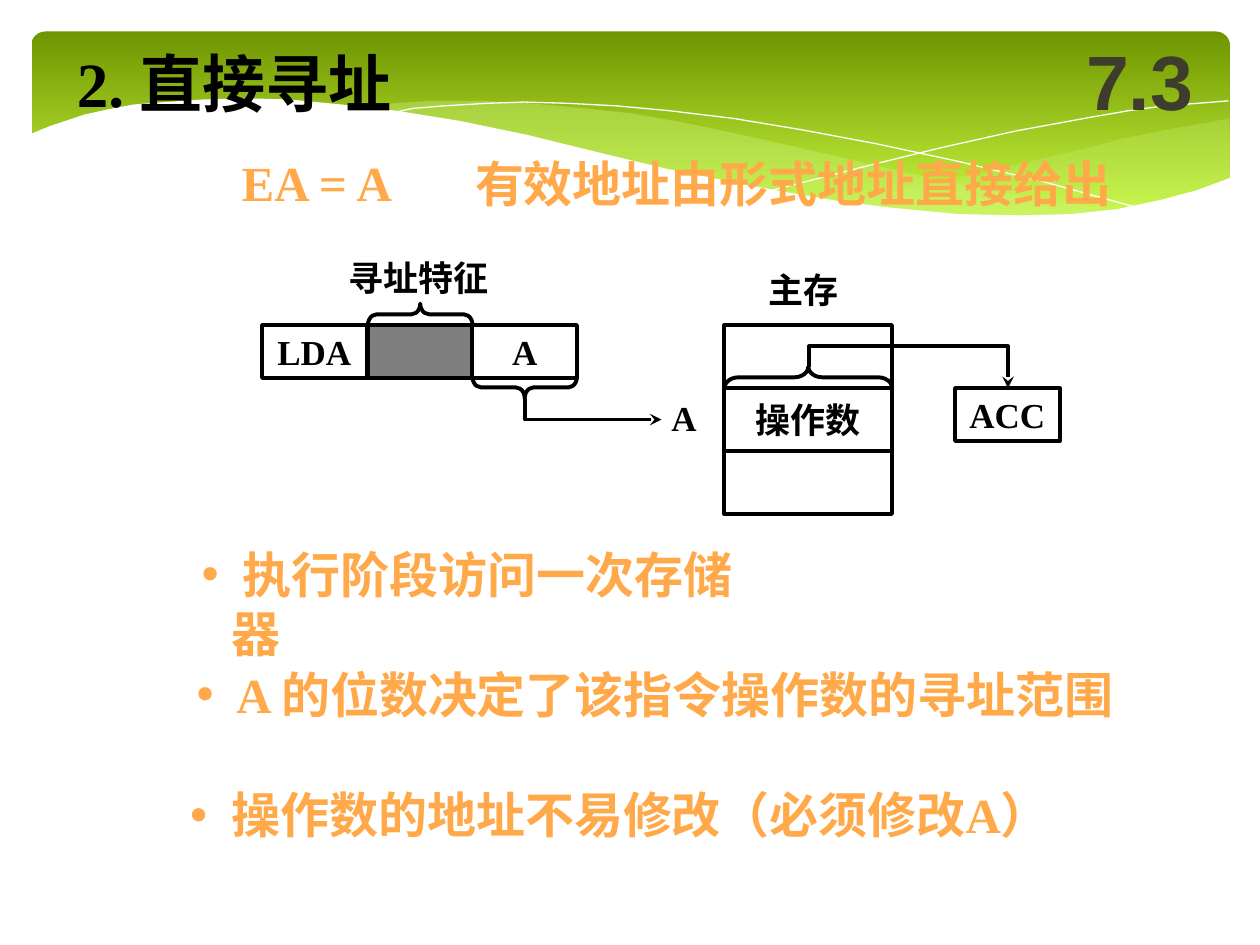
from lxml import etree
from pptx import Presentation
from pptx.dml.color import RGBColor
from pptx.enum.shapes import MSO_SHAPE
from pptx.enum.text import MSO_ANCHOR, MSO_AUTO_SIZE, PP_ALIGN
from pptx.oxml.ns import qn
from pptx.util import Inches, Pt

RECT, ROUND, BRACE = MSO_SHAPE.RECTANGLE, MSO_SHAPE.ROUNDED_RECTANGLE, MSO_SHAPE.LEFT_BRACE
LEFT, CENTER = PP_ALIGN.LEFT, PP_ALIGN.CENTER
TOP, MIDDLE = MSO_ANCHOR.TOP, MSO_ANCHOR.MIDDLE
NO_FIT = MSO_AUTO_SIZE.NONE
BLACK, WHITE, ORANGE, LIME = "000000", "FFFFFF", "FFA94A", "CAF278"


def paint(target, color, alpha=None):
    """Set a solid fill or a font colour from a hex string."""
    if hasattr(target, "solid"):
        target.solid()
        fore = target.fore_color
    else:
        fore = target.color
    fore.rgb = RGBColor.from_string(color)
    if alpha:
        clr = target._xPr.find(qn("a:solidFill"))[0]
        etree.SubElement(clr, qn("a:alpha"), val=str(alpha * 1000))


def text(sp, words, size=20, color=BLACK, font="Times New Roman", align=LEFT,
         anchor=TOP, wrap=False, bullet=False):
    tf = sp.text_frame
    tf.auto_size, tf.word_wrap, tf.vertical_anchor = NO_FIT, wrap, anchor
    p = tf.paragraphs[0]
    p.alignment = align
    p.space_before = Pt(0)
    if bullet:
        pPr = p._p.get_or_add_pPr()
        pPr.set("marL", str(Inches(0.24)))
        pPr.set("indent", str(-Inches(0.24)))
        clr = etree.SubElement(pPr, qn("a:buClr"))
        etree.SubElement(clr, qn("a:srgbClr"), val=color)
        etree.SubElement(pPr, qn("a:buChar"), char="•")
    r = p.add_run()
    r.text = words
    r.font.name, r.font.size, r.font.bold = font, Pt(size), True
    paint(r.font, color)


prs = Presentation()
prs.slide_width, prs.slide_height = Inches(10), Inches(7.5)
s = prs.slides.add_slide(prs.slide_layouts[4])
shapes = s.shapes
placeholders = {ph.placeholder_format.idx: ph for ph in s.placeholders}

# Green header band
band = shapes.add_shape(ROUND, Inches(0.25), Inches(0.25), Inches(9.51), Inches(1.56))
band.adjustments[0] = 0.07
band.shadow.inherit = False
band.line.fill.background()
band.fill.gradient()
band.fill.gradient_angle = 270
for stop, color in zip(band.fill.gradient_stops, ("6F9500", "D0FF44")):
    stop.color.rgb = RGBColor.from_string(color)
    stop.position = 0 if color == "6F9500" else 1

# Waves and hairlines over the band, then the two elbow arrows
right_wave = [(9.76, 0.94), (9.48, 0.99), (9.21, 1.04), (8.91, 1.1), (8.61, 1.18),
              (8.05, 1.31), (7.53, 1.43), (7.06, 1.52), (6.61, 1.6), (6.91, 1.64),
              (7.32, 1.68), (7.69, 1.71), (8.03, 1.72), (8.35, 1.72), (8.63, 1.7),
              (8.89, 1.66), (9.13, 1.62), (9.35, 1.56), (9.63, 1.47), (9.76, 1.41)]
middle_wave = [(8.93, 1.67), (8.66, 1.64), (8.37, 1.6), (7.75, 1.49), (7.06, 1.34),
               (6.29, 1.16), (5.84, 1.06), (5.41, 0.97), (5.01, 0.9), (4.64, 0.86),
               (4.2, 0.82), (3.8, 0.8), (3.44, 0.8), (3.13, 0.82), (2.86, 0.86),
               (3.23, 0.9), (3.62, 0.97), (4.04, 1.06), (4.49, 1.16), (5.3, 1.35),
               (5.84, 1.46), (6.34, 1.56), (6.8, 1.63), (7.22, 1.68), (7.61, 1.71),
               (7.96, 1.73), (8.28, 1.73), (8.57, 1.71)]
long_hairline = [(3.09, 0.9), (3.28, 0.86), (3.53, 0.84), (3.87, 0.82), (4.16, 0.81),
                 (4.5, 0.82), (4.89, 0.84), (5.32, 0.88), (5.82, 0.94), (6.36, 1.03),
                 (6.95, 1.14), (7.6, 1.28), (8.31, 1.45), (9.07, 1.66)]
short_hairline = [(6.13, 1.51), (6.52, 1.41), (6.95, 1.3), (7.48, 1.17), (8.06, 1.04),
                  (8.66, 0.93), (8.95, 0.88), (9.24, 0.84), (9.51, 0.82), (9.75, 0.8)]
white_wave = [(9.77, 1.41), (9.5, 1.51), (9.2, 1.59), (8.87, 1.66), (8.5, 1.7),
              (8.09, 1.71), (7.61, 1.7), (7.08, 1.65), (6.68, 1.6), (6.26, 1.53),
              (5.79, 1.44), (5.29, 1.34), (4.75, 1.21), (4.18, 1.07), (3.65, 0.96),
              (3.15, 0.88), (2.71, 0.83), (2.3, 0.79), (1.93, 0.78), (1.61, 0.79),
              (1.32, 0.81), (1.06, 0.83), (0.85, 0.87), (0.67, 0.91), (0.52, 0.96),
              (0.4, 1), (0.23, 1.07), (0.23, 2.24), (9.77, 2.24)]
address_arrow = [(4.17, 3.16), (4.17, 3.33), (5.25, 3.33)]
operand_arrow = [(6.42, 2.91), (6.42, 2.75), (8, 2.75), (8, 3.08)]
for points, fill, alpha, line, width in (
        (right_wave, LIME, 29, None, 0), (middle_wave, LIME, 40, None, 0),
        (long_hairline, None, None, WHITE, 0), (short_hairline, None, None, WHITE, 0),
        (white_wave, WHITE, None, None, 0),
        (address_arrow, None, None, BLACK, 2.25), (operand_arrow, None, None, BLACK, 2.25)):
    points = [(Inches(x), Inches(y)) for x, y in points]
    builder = shapes.build_freeform(*points[0])
    builder.add_line_segments(points[1:], close=fill is not None)
    sp = builder.convert_to_shape()
    sp.shadow.inherit = False
    if fill:
        paint(sp.fill, fill, alpha)
        sp.line.fill.background()
    else:
        sp.fill.background()
        paint(sp.line.fill, line)
        sp.line.width = Pt(width)
        if width:
            etree.SubElement(sp.line._get_or_add_ln(), qn("a:tailEnd"), type="stealth")

# Title, headline and bullet list in the placeholders, in front of the header
for idx, words, x, y, w, h, fmt in (
        (0, "2. 直接寻址", 0.51, 0.3, 2.82, 0.7, dict(size=36)),
        (1, "有效地址由形式地址直接给出", 3.67, 1.17, 5.75, 0.57,
         dict(size=28, color=ORANGE, wrap=True)),
        (2, " 执行阶段访问一次存储器", 1.5, 4.27, 4.69, 0.57,
         dict(size=28, color=ORANGE, wrap=True, bullet=True)),
        (3, " A 的位数决定了该指令操作数的寻址范围", 1.46, 5.22, 7.5, 0.57,
         dict(size=28, color=ORANGE, wrap=True, bullet=True)),
        (4, " 操作数的地址不易修改（必须修改A）", 1.41, 6.18, 7.1, 0.57,
         dict(size=28, color=ORANGE, wrap=True, bullet=True))):
    sp = placeholders[idx]
    sp.left, sp.top, sp.width, sp.height = Inches(x), Inches(y), Inches(w), Inches(h)
    shapes._spTree.append(sp._element)
    text(sp, words, **fmt)

# Instruction fields, main memory cells and accumulator
instruction = [("LDA", 2.08, 2.58, 0.83, 0.42), ("", 2.92, 2.58, 0.83, 0.42),
               ("A", 3.75, 2.58, 0.83, 0.42)]
memory = [(words, 5.75, 2.58 + 0.5 * i, 1.33, 0.5)
          for i, words in enumerate(("", "操作数", ""))]
for words, x, y, w, h in instruction + memory + [("ACC", 7.58, 3.08, 0.83, 0.42)]:
    sp = shapes.add_shape(RECT, Inches(x), Inches(y), Inches(w), Inches(h))
    sp.shadow.inherit = False
    paint(sp.line.fill, BLACK)
    sp.line.width = Pt(2.25)
    if x == 2.92:
        paint(sp.fill, BLACK, 50)
    else:
        sp.fill.background()
    if words:
        text(sp, words, align=CENTER, anchor=MIDDLE)

# Braces, turned to point up or down
for x, y, span, turn in ((3.25, 2.08, 0.83, 90), (4.08, 2.66, 0.83, 270),
                         (6.33, 2.33, 1.33, 90)):
    sp = shapes.add_shape(BRACE, Inches(x), Inches(y), Inches(0.17), Inches(span))
    sp.adjustments[0] = span / 12 / 0.17
    sp.rotation = turn
    sp.shadow.inherit = False
    sp.fill.background()
    paint(sp.line.fill, BLACK)
    sp.line.width = Pt(2.25)

# Formula, diagram labels and section number
for words, x, y, w, h, fmt in (
        ("EA = A", 1.82, 1.16, 1.43, 0.57, dict(size=28, color=ORANGE)),
        ("主存", 6, 2.08, 0.75, 0.44, {}),
        ("寻址特征", 2.67, 1.99, 1.31, 0.44, {}),
        ("A", 5.23, 3.1, 0.4, 0.44, {}),
        ("7.3", 8.42, 0.17, 1.25, 0.92,
         dict(size=44, color="3E3D2D", font="Arial", align=CENTER, anchor=MIDDLE, wrap=True))):
    sp = shapes.add_textbox(Inches(x), Inches(y), Inches(w), Inches(h))
    text(sp, words, **fmt)

prs.save("out.pptx")
